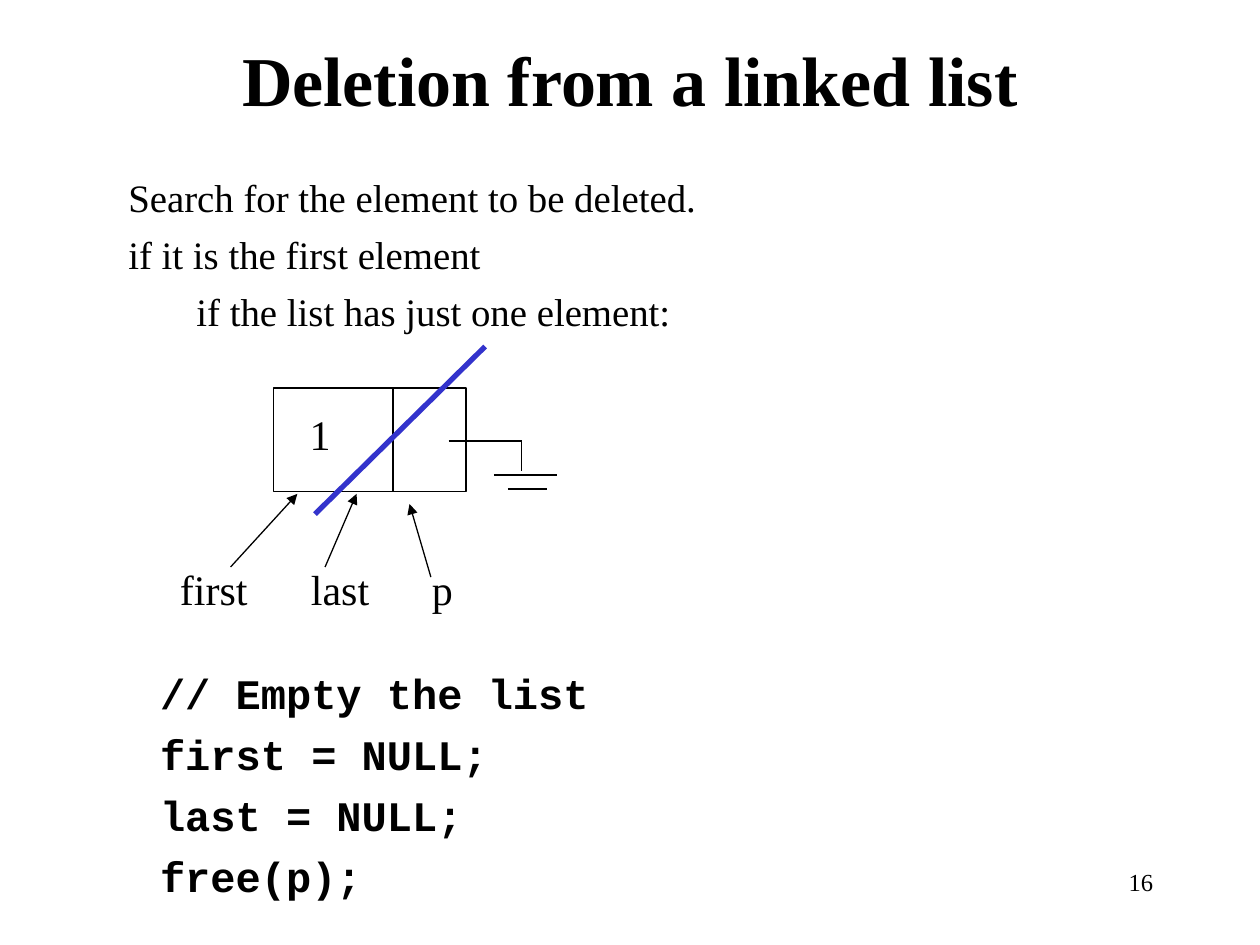
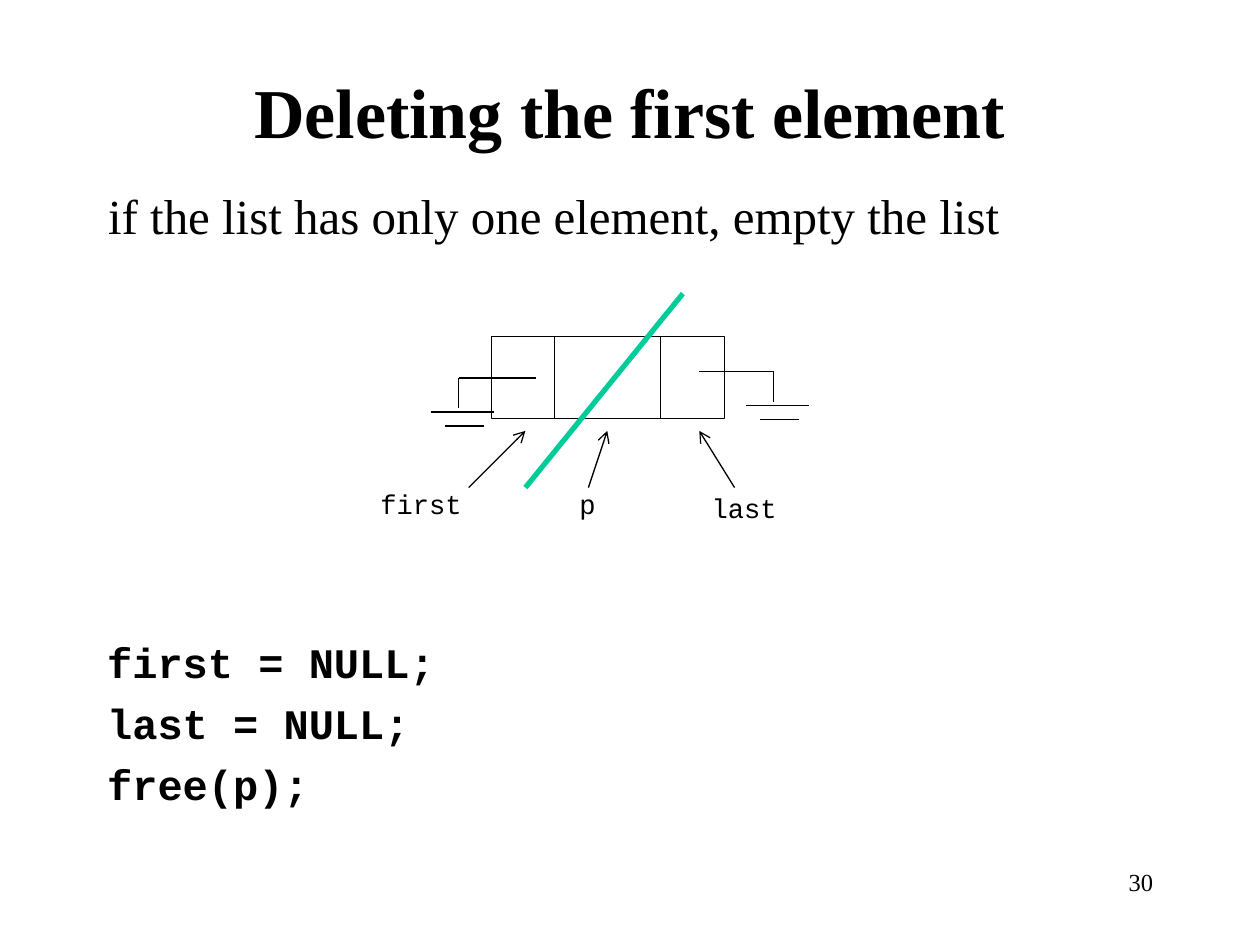
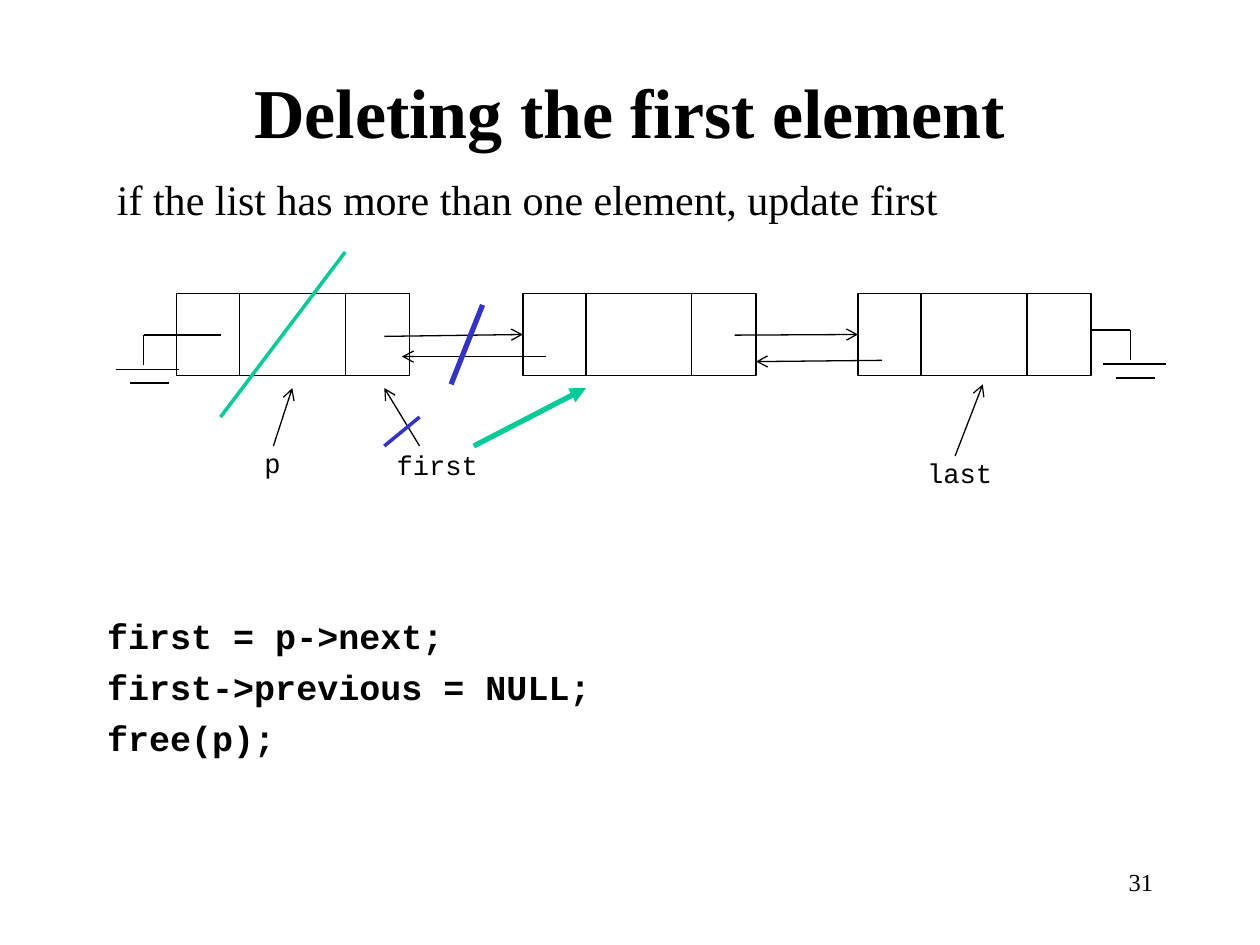
"""Build three slides on deleting elements from linked lists."""
from dataclasses import dataclass, replace
from typing import Optional

from lxml import etree
from pptx import Presentation
from pptx import slide as s
from pptx import util as u
from pptx.dml import color as c
from pptx.enum import shapes, text
from pptx.oxml import ns
from pptx.shapes import autoshape as a
from pptx.text import text as t

PX = 9144
BLACK = c.RGBColor(0x00, 0x00, 0x00)
WHITE = c.RGBColor(0xFF, 0xFF, 0xFF)
BLUE = c.RGBColor(0x33, 0x33, 0xCC)
GREEN = c.RGBColor(0x00, 0xCC, 0x99)
SERIF = "Times New Roman"
MONO = "Courier New"


@dataclass(frozen=True)
class Style:
    """Font and paragraph settings of a text."""
    font: str
    size: float
    bold: bool = False
    align: text.PP_ALIGN = text.PP_ALIGN.LEFT
    gap: int = 0
    spacing: float = 1.0


@dataclass(frozen=True)
class Area:
    """Rectangle in px."""
    left: int
    top: int
    width: int
    height: int


@dataclass(frozen=True)
class Line:
    """One line of text with its indent in px."""
    words: str
    indent: int = 0


@dataclass(frozen=True)
class Node:
    """List node: a box cut into cells at offsets from its left side."""
    left: int
    top: int
    width: int = 185
    height: int = 65
    cuts: tuple[int, ...] = (50, 134)


@dataclass(frozen=True)
class Stroke:
    """Straight line, with an optional arrowhead at its end."""
    x1: int
    y1: int
    x2: int
    y2: int
    tail: Optional[str] = None
    color: c.RGBColor = BLACK
    weight: float = 0.75


@dataclass(frozen=True)
class Ground:
    """Null pointer: a wire leading to an earth symbol."""
    start: int
    stem: int
    top: int


@dataclass(frozen=True)
class Label:
    """Name of a pointer variable."""
    words: str
    left: int
    top: int
    width: int = 107
    height: int = 38


TITLE = Style(SERIF, 40, bold=True, align=text.PP_ALIGN.CENTER)
CODE = Style(MONO, 24, bold=True, gap=6)
PROSE = Style(SERIF, 24)
NUMBER = Style(SERIF, 14, align=text.PP_ALIGN.RIGHT)
POINTER = Style(MONO, 15.5, spacing=0.8)
NUMBER_AREA = Area(717, 683, 208, 50)


def place(box: a.Shape, area: Area) -> None:
    """Move a shape to an area."""
    box.left, box.top = area.left * PX, area.top * PX
    box.width, box.height = area.width * PX, area.height * PX


def write(frame: t.TextFrame, lines: list[Line], style: Style) -> None:
    """Fill a text frame with styled lines."""
    frame.word_wrap = True
    frame.auto_size = text.MSO_AUTO_SIZE.NONE
    for index, line in enumerate(lines):
        para = frame.add_paragraph() if index else frame.paragraphs[0]
        para.alignment = style.align
        para.line_spacing = style.spacing
        para.space_before = u.Pt(style.gap if index else 0)
        props = para._p.get_or_add_pPr()
        props.set("marL", str(line.indent * PX))
        props.set("indent", "0")
        etree.SubElement(props, ns.qn("a:buNone"))
        span = para.add_run()
        span.text = line.words
        span.font.name = style.font
        span.font.size = u.Pt(style.size)
        span.font.bold = style.bold
        span.font.color.rgb = BLACK


def add_text(page: s.Slide, area: Area, lines: list[Line], style: Style) -> None:
    """Add a text box."""
    box = page.shapes.add_textbox(0, 0, 0, 0)
    place(box, area)
    write(box.text_frame, lines, style)


def add_stroke(page: s.Slide, stroke: Stroke, target: Optional[a.Shape] = None) -> None:
    """Draw a line, joined to the left side of the target if there is one."""
    ends = (stroke.x1, stroke.y1, stroke.x2, stroke.y2)
    line = page.shapes.add_connector(shapes.MSO_CONNECTOR.STRAIGHT, *(end * PX for end in ends))
    line.line.color.rgb = stroke.color
    line.line.width = u.Pt(stroke.weight)
    props = line._element.spPr
    if stroke.tail:
        etree.SubElement(props.find(ns.qn("a:ln")), ns.qn("a:tailEnd"), type=stroke.tail)
    etree.SubElement(props, ns.qn("a:effectLst"))
    if target is not None:
        line.end_connect(target, 1)


def add_node(page: s.Slide, node: Node) -> a.Shape:
    """Draw a list node and return its box."""
    box = page.shapes.add_shape(shapes.MSO_SHAPE.RECTANGLE, 0, 0, 0, 0)
    place(box, Area(node.left, node.top, node.width, node.height))
    box.shadow.inherit = False
    box.fill.solid()
    box.fill.fore_color.rgb = WHITE
    box.line.color.rgb = BLACK
    box.line.width = u.Pt(0.75)
    for cut in node.cuts:
        x = node.left + cut
        add_stroke(page, Stroke(x, node.top, x, node.top + node.height))
    return box


def add_ground(page: s.Slide, ground: Ground) -> None:
    """Draw a wire, its stem and the two plates below."""
    x, y = ground.stem, ground.top
    add_stroke(page, Stroke(ground.start, y, x, y))
    add_stroke(page, Stroke(x, y, x, y + 24))
    add_stroke(page, Stroke(x - 22, y + 27, x + 28, y + 27))
    add_stroke(page, Stroke(x - 11, y + 38, x + 20, y + 38))


def add_labels(page: s.Slide, labels: list[Label], style: Style = POINTER) -> None:
    """Write the names of pointer variables."""
    for label in labels:
        area = Area(label.left, label.top, label.width, label.height)
        add_text(page, area, [Line(label.words)], style)


def add_page(deck, title: str, top: int, number: int, code: list[str],
             area: Area, style: Style = CODE) -> s.Slide:
    """Add a slide with its title, code and page number."""
    page = deck.slides.add_slide(deck.slide_layouts[1])
    heading, body = page.shapes.title, page.placeholders[1]
    place(heading, Area(75, top, 850, 75))
    heading.text_frame.vertical_anchor = text.MSO_ANCHOR.MIDDLE
    write(heading.text_frame, [Line(title)], TITLE)
    place(body, area)
    write(body.text_frame, [Line(words) for words in code], style)
    add_text(page, NUMBER_AREA, [Line(str(number))], NUMBER)
    return page


def build_overview(deck) -> None:
    """Show deletion from a singly linked list of one element."""
    page = add_page(deck, "Deletion from a linked list", 25, 16,
                    ["// Empty the list", "first = NULL;", "last = NULL;", "free(p);"],
                    Area(117, 525, 792, 208))
    add_node(page, Node(217, 308, 153, 82, (95,)))
    add_text(page, Area(236, 319, 77, 61), [Line("1")], PROSE)
    add_labels(page, [Label("first", 133, 442, 90, 50), Label("last", 237, 442, 90, 50),
                      Label("p", 333, 442, 90, 50)], PROSE)
    add_text(page, Area(92, 133, 792, 142),
             [Line("Search for the element to be deleted."),
              Line("if it is the first element"),
              Line("if the list has just one element:", indent=54)],
             replace(PROSE, size=22.2, gap=6))
    add_ground(page, Ground(356, 414, 350))
    for stroke in (Stroke(258, 450, 283, 392, "triangle"),
                   Stroke(183, 450, 236, 392, "triangle"),
                   Stroke(342, 458, 325, 400, "triangle"),
                   Stroke(385, 275, 250, 408, color=BLUE, weight=3)):
        add_stroke(page, stroke)


def build_single(deck) -> None:
    """Show deletion of the only element of a doubly linked list."""
    page = add_page(deck, "Deleting the first element", 50, 30,
                    ["first = NULL;", "last = NULL;", "free(p);"], Area(75, 500, 850, 167))
    add_node(page, Node(390, 267))
    add_labels(page, [Label("p", 450, 387, 51), Label("first", 292, 387),
                      Label("last", 555, 390)])
    add_ground(page, Ground(555, 614, 295))
    add_ground(page, Ground(425, 364, 300))
    add_text(page, Area(76, 142, 850, 92),
             [Line("if the list has only one element, empty the list")], replace(PROSE, size=28))
    for stroke in (Stroke(467, 387, 482, 342, "arrow"),
                   Stroke(372, 387, 417, 342, "arrow"),
                   Stroke(583, 387, 555, 342, "arrow"),
                   Stroke(542, 233, 417, 387, color=GREEN, weight=3)):
        add_stroke(page, stroke)


def build_several(deck) -> None:
    """Show deletion of the first of several elements."""
    page = add_page(deck, "Deleting the first element", 50, 31,
                    ["first = p->next;", "first->previous = NULL;", "free(p);"],
                    Area(75, 483, 850, 183), replace(CODE, size=20, gap=5))
    add_text(page, Area(83, 133, 725, 50),
             [Line("if the list has more than one element, update first")], PROSE)
    add_node(page, Node(140, 233))
    add_ground(page, Ground(838, 897, 262))
    add_ground(page, Ground(175, 114, 266))
    middle = add_node(page, Node(415, 233))
    final = add_node(page, Node(681, 233))
    add_labels(page, [Label("p", 200, 354, 51), Label("first", 305, 356),
                      Label("last", 726, 362)])
    add_stroke(page, Stroke(583, 266, 681, 266, "arrow"), final)
    add_stroke(page, Stroke(305, 267, 415, 266, "arrow"), middle)
    for stroke in (Stroke(700, 286, 600, 287, "arrow"),
                   Stroke(433, 283, 319, 283, "arrow"),
                   Stroke(217, 354, 232, 308, "arrow"),
                   Stroke(333, 354, 305, 308, "arrow"),
                   Stroke(758, 362, 780, 305, "arrow"),
                   Stroke(274, 200, 175, 331, color=GREEN, weight=2),
                   Stroke(376, 354, 465, 308, "triangle", GREEN, 3),
                   Stroke(333, 331, 305, 354, color=BLUE, weight=2),
                   Stroke(383, 242, 358, 305, color=BLUE, weight=3)):
        add_stroke(page, stroke)


def main() -> None:
    """Build and save the deck."""
    deck = Presentation()
    deck.slide_width, deck.slide_height = 1000 * PX, 750 * PX
    for build in (build_overview, build_single, build_several):
        build(deck)
    deck.save("out.pptx")


if __name__ == "__main__":
    main()
